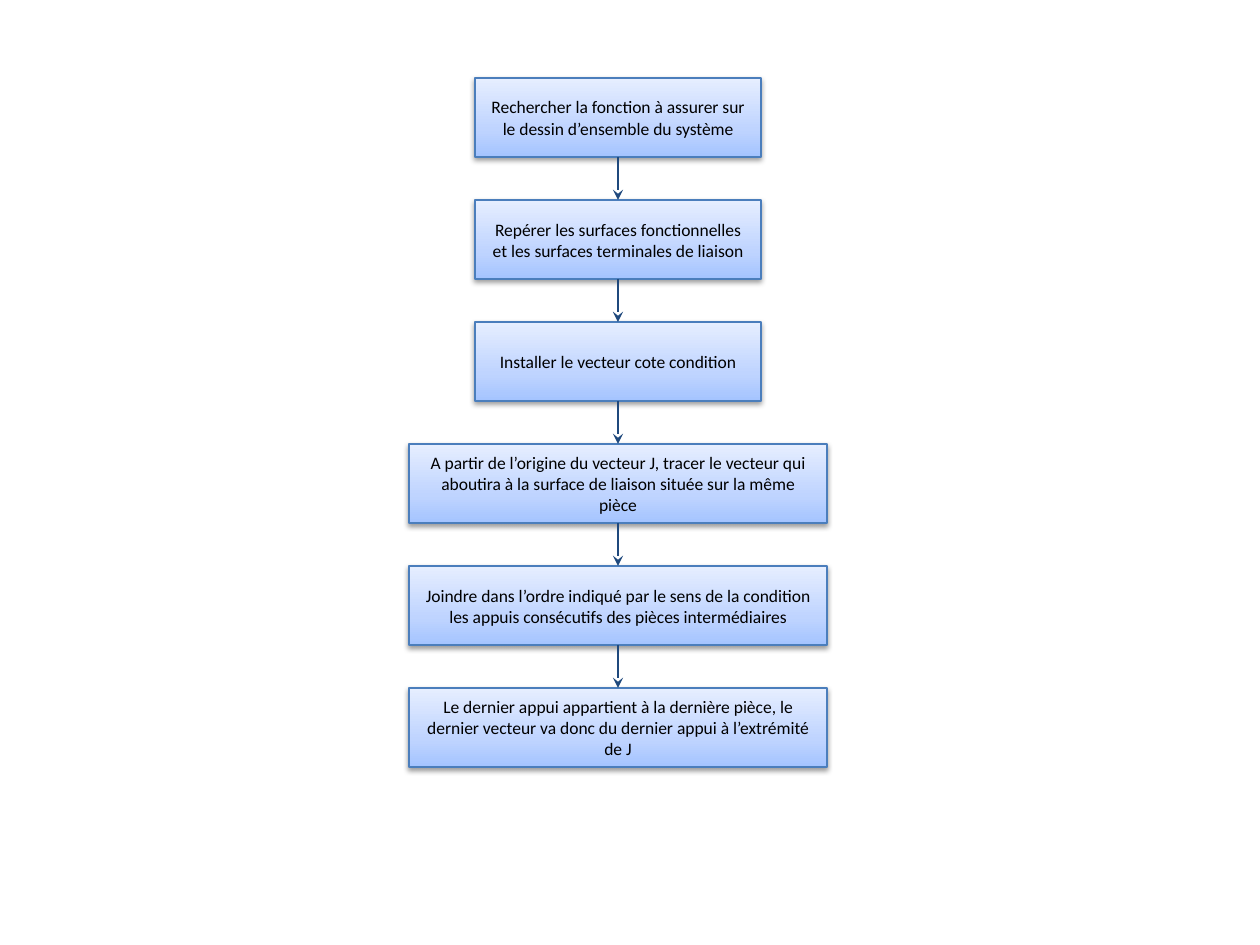
from itertools import pairwise

from lxml.etree import SubElement
from pptx import Presentation
from pptx.dml.color import RGBColor
from pptx.enum.shapes import MSO_CONNECTOR, MSO_SHAPE
from pptx.enum.text import MSO_ANCHOR, PP_ALIGN
from pptx.oxml.ns import qn
from pptx.util import Emu, Inches, Pt

PIXELS_PER_INCH = 126
CENTER, TOP, HEIGHT, PITCH = 618, 78, 79, 122
NARROW, WIDE = 286, 418

STEPS = [
    (NARROW, "Rechercher la fonction à assurer sur le dessin d’ensemble du système"),
    (NARROW, "Repérer les surfaces fonctionnelles et les surfaces terminales de liaison"),
    (NARROW, "Installer le vecteur cote condition"),
    (WIDE, "A partir de l’origine du vecteur J, tracer le vecteur qui aboutira "
           "à la surface de liaison située sur la même pièce"),
    (WIDE, "Joindre dans l’ordre indiqué par le sens de la condition les appuis "
           "consécutifs des pièces intermédiaires"),
    (WIDE, "Le dernier appui appartient à la dernière pièce, le dernier vecteur "
           "va donc du dernier appui à l’extrémité de J"),
]


def px(pixels):
    """Turn whole pixels into EMU."""
    return Emu(round(pixels * 914400 / PIXELS_PER_INCH))


def color(hex_code):
    """Turn a hex string into a colour."""
    return RGBColor.from_string(hex_code)


def add_xml(parent, tag, **attributes):
    """Append a DrawingML element and return it."""
    return SubElement(parent, qn(f"a:{tag}"), attributes)


class Flowchart:
    """Holds the flowchart style and the current slide."""

    font, size, ink = "Calibri", Pt(10), "000000"
    border, arrow_color = "4B7EBC", "1F497D"
    gradient = [(0, "A4C4FF"), (35, "BFD4FF"), (100, "E6EEFF")]

    def __init__(self, slide):
        """Keep the slide to draw on."""
        self.slide = slide

    def step(self, top, width, wording):
        """Add a centred step box."""
        box = self.slide.shapes.add_shape(
            MSO_SHAPE.RECTANGLE, px(CENTER - width // 2), px(top), px(width), px(HEIGHT))
        box.line.color.rgb = color(self.border)
        box.line.width = Pt(0.75)
        self.shade(box)
        self.cast_shadow(box)
        frame = box.text_frame
        frame.text = wording
        frame.word_wrap = True
        frame.vertical_anchor = MSO_ANCHOR.MIDDLE
        paragraph = frame.paragraphs[0]
        paragraph.alignment = PP_ALIGN.CENTER
        font = paragraph.runs[0].font
        font.name, font.size = self.font, self.size
        font.color.rgb = color(self.ink)

    def shade(self, box):
        """Fill a box with the gradient, rising from the bottom."""
        box.fill.gradient()
        box.fill.gradient_angle = 90
        stops = box.fill._xPr.find(qn("a:gradFill")).find(qn("a:gsLst"))
        for stop in list(stops):
            stops.remove(stop)
        for percent, hex_code in self.gradient:
            stop = add_xml(stops, "gs", pos=str(percent * 1000))
            add_xml(stop, "srgbClr", val=hex_code)

    def cast_shadow(self, box):
        """Give a box a soft shadow below it."""
        box.shadow.inherit = False
        effects = box._element.spPr.find(qn("a:effectLst"))
        shadow = add_xml(effects, "outerShdw", blurRad=str(Pt(3.1)), dist=str(Pt(1.6)),
                         dir="5400000", rotWithShape="0")
        tint = add_xml(shadow, "srgbClr", val="000000")
        add_xml(tint, "alpha", val="38000")

    def arrow(self, start, end):
        """Add a downward arrow on the centre line."""
        link = self.slide.shapes.add_connector(
            MSO_CONNECTOR.STRAIGHT, px(CENTER), px(start), px(CENTER), px(end))
        link.line.color.rgb = color(self.arrow_color)
        link.line.width = Pt(1.5)
        add_xml(link.line._get_or_add_ln(), "tailEnd", type="stealth")
        add_xml(link._element.spPr, "effectLst")


def main():
    """Build and save the slide."""
    deck = Presentation()
    deck.slide_width, deck.slide_height = Inches(10), Inches(7.5)
    chart = Flowchart(deck.slides.add_slide(deck.slide_layouts[6]))
    tops = [TOP + PITCH * index for index in range(len(STEPS))]
    for top, (width, wording) in zip(tops, STEPS):
        chart.step(top, width, wording)
    for upper, lower in pairwise(tops):
        chart.arrow(upper + HEIGHT, lower)
    deck.save("out.pptx")


main()
